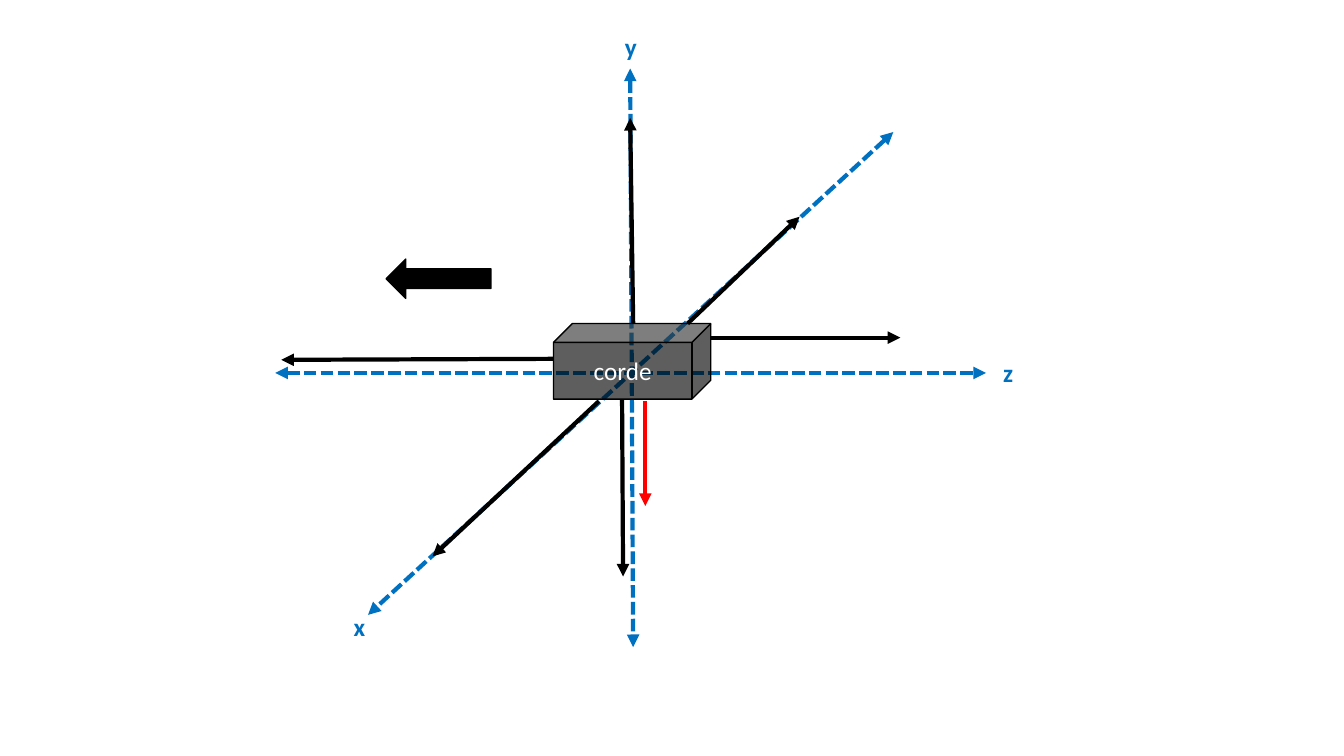
import pptx
import pptx.util
import pptx.dml.color
import pptx.enum.dml
import pptx.enum.shapes
import pptx.enum.text
import pptx.oxml.ns
from lxml import etree

Inches = pptx.util.Inches
Pt = pptx.util.Pt
SHAPE = pptx.enum.shapes.MSO_SHAPE
qn = pptx.oxml.ns.qn

COLORS = {"axis": "0070C0", "force": "000000", "weight": "FF0000", "label": "FFFFFF"}
FONT = "Calibri"

# Start and end points in inches
AXES = [
    ((6.25, 0.68), (6.28, 6.42)),
    ((2.73, 3.7), (9.78, 3.7)),
    ((8.86, 1.31), (3.65, 6.1)),
]
AXIS_LABELS = [("x", 3.41, 6.02), ("z", 9.85, 3.5), ("y", 6.1, 0.26)]
FORCES = [
    ((5.49, 3.56), (2.79, 3.57)),
    ((6.82, 3.21), (7.93, 2.15)),
    ((5.94, 3.98), (4.29, 5.52)),
    ((6.28, 3.21), (6.25, 1.17)),
    ((6.17, 3.96), (6.18, 5.72)),
    ((7.05, 3.35), (8.93, 3.35)),
]
WEIGHT = ((6.4, 3.98), (6.4, 5.02))


def rgb(name):
    return pptx.dml.color.RGBColor.from_string(COLORS[name])


def add_arrow(s, start, end, color, axis=False):
    """Draw an arrow; an axis is dashed and has a head at both ends."""
    points = [Inches(v) for v in (*start, *end)]
    line = s.shapes.add_connector(pptx.enum.shapes.MSO_CONNECTOR.STRAIGHT, *points)
    line.line.color.rgb = rgb(color)
    line.line.width = Pt(3)
    if axis:
        line.line.dash_style = pptx.enum.dml.MSO_LINE.SQUARE_DOT
    ln = line.line._get_or_add_ln()
    for end_tag in ("a:headEnd", "a:tailEnd") if axis else ("a:tailEnd",):
        etree.SubElement(ln, qn(end_tag), type="triangle")
    etree.SubElement(line._element.spPr, qn("a:effectLst"))


def set_text(sp, text, color, bold=False):
    p = sp.text_frame.paragraphs[0]
    p.text = text
    font = p.runs[0].font
    font.name, font.size, font.bold = FONT, Pt(18), bold
    font.color.rgb = rgb(color)
    return p


def add_label(s, text, left, top):
    sp = s.shapes.add_textbox(Inches(left), Inches(top), Inches(0.48), Inches(0.4))
    sp.text_frame.word_wrap = True
    sp.text_frame.auto_size = pptx.enum.text.MSO_AUTO_SIZE.SHAPE_TO_FIT_TEXT
    set_text(sp, text, "axis", bold=True)


def add_solid(s, kind, left, top, width, height):
    sp = s.shapes.add_shape(kind, Inches(left), Inches(top), Inches(width), Inches(height))
    sp.shadow.inherit = False
    sp.fill.solid()
    sp.fill.fore_color.rgb = rgb("force")
    sp.line.color.rgb = rgb("force")
    sp.line.width = Pt(1)
    return sp


def add_body(s):
    """Draw the see-through block on which the forces act."""
    sp = add_solid(s, SHAPE.CUBE, 5.49, 3.21, 1.56, 0.75)
    fill_color = sp._element.spPr.find(qn("a:solidFill"))[0]
    etree.SubElement(fill_color, qn("a:alpha"), val="63000")
    sp.text_frame.vertical_anchor = pptx.enum.text.MSO_ANCHOR.MIDDLE
    p = set_text(sp, "corde", "label")
    p.alignment = pptx.enum.text.PP_ALIGN.CENTER


def main():
    prs = pptx.Presentation()
    prs.slide_width, prs.slide_height = Inches(13.33), Inches(7.5)
    s = prs.slides.add_slide(prs.slide_layouts[6])

    # Axes and their names
    for start, end in AXES:
        add_arrow(s, start, end, "axis", axis=True)
    for text, left, top in AXIS_LABELS:
        add_label(s, text, left, top)

    # Body and forces
    add_body(s)
    for start, end in FORCES:
        add_arrow(s, start, end, "force")

    # Direction of motion and weight
    add_solid(s, SHAPE.LEFT_ARROW, 3.83, 2.57, 1.04, 0.39)
    add_arrow(s, *WEIGHT, "weight")

    prs.save("out.pptx")


if __name__ == "__main__":
    main()
